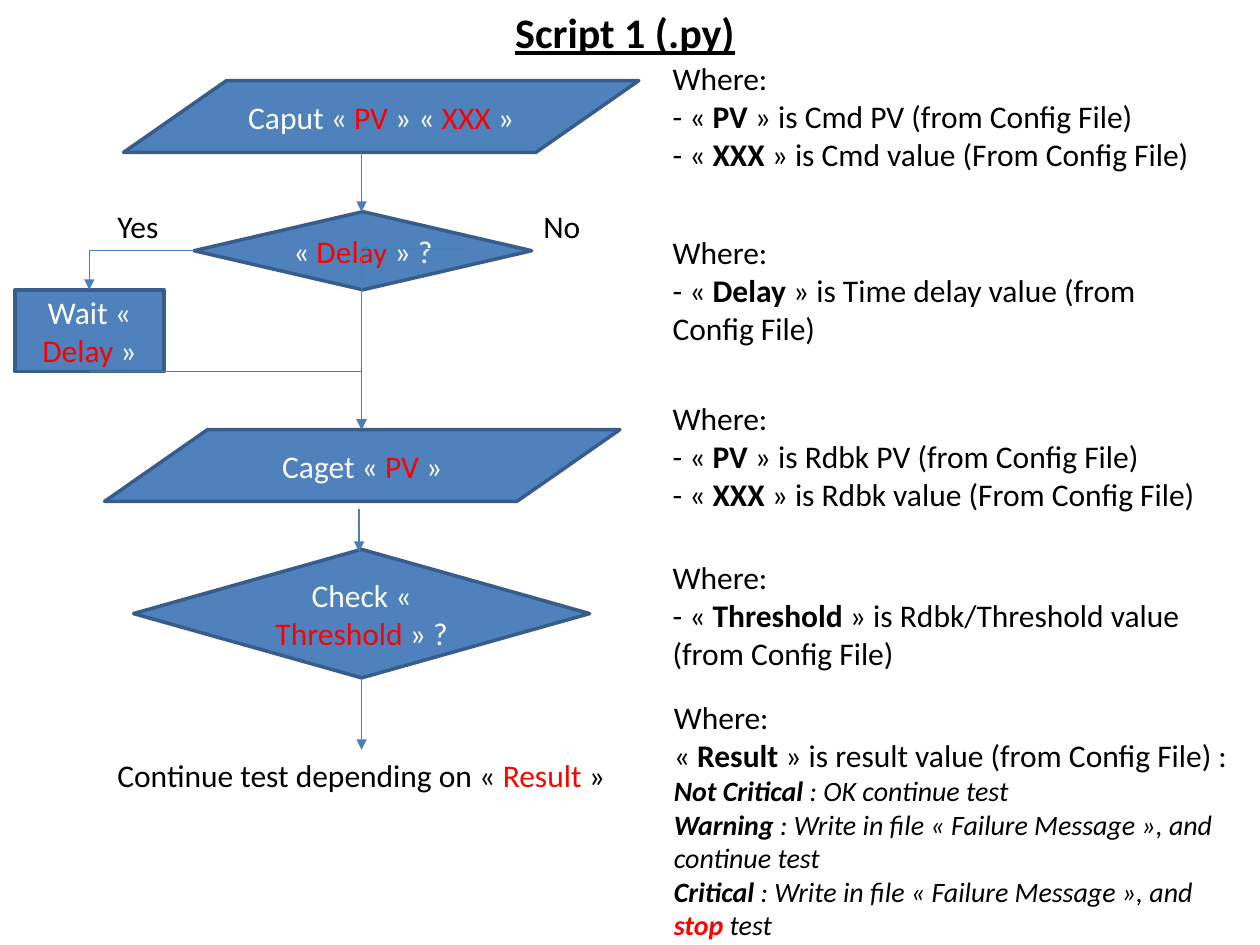
from lxml.etree import SubElement
from pptx import Presentation
from pptx.dml.color import RGBColor
from pptx.enum.shapes import MSO_CONNECTOR, MSO_SHAPE
from pptx.enum.text import MSO_ANCHOR, PP_ALIGN
from pptx.oxml.ns import qn
from pptx.util import Inches, Pt

COLORS = {"step": "4F81BD", "edge": "385D8A", "arrow": "4A7EBB",
          "black": "000000", "white": "FFFFFF", "red": "FF0000"}
STYLES = {
    "plain": {"size": Pt(18)},
    "bold": {"size": Pt(18), "bold": True},
    "detail": {"size": Pt(16), "italic": True},
    "level": {"size": Pt(16), "italic": True, "bold": True},
    "title": {"size": Pt(24), "bold": True, "underline": True},
}

deck = Presentation()
deck.slide_width, deck.slide_height = Inches(10), Inches(7.5)
column, row = deck.slide_width / 100, deck.slide_height / 75
slide = deck.slides.add_slide(deck.slide_layouts[5])


def grid(*lengths):
    return [round(length * (row if i % 2 else column)) for i, length in enumerate(lengths)]


def write(frame, paragraphs, align=PP_ALIGN.LEFT, anchor=MSO_ANCHOR.TOP):
    frame.word_wrap, frame.vertical_anchor = True, anchor
    for i, pieces in enumerate(paragraphs):
        paragraph = frame.add_paragraph() if i else frame.paragraphs[0]
        paragraph.alignment = align
        for text, style, color in pieces:
            run = paragraph.add_run()
            run.text = text
            run.font.name = "Calibri"
            run.font.color.rgb = RGBColor.from_string(COLORS[color])
            for attribute, value in STYLES[style].items():
                setattr(run.font, attribute, value)


heading = slide.shapes.title
heading.left, heading.top, heading.width, heading.height = grid(-0.4, 0, 100, 5)
write(heading.text_frame, [[("Script 1 (.py)", "title", "black")]], PP_ALIGN.CENTER)

steps = [
    (MSO_SHAPE.FLOWCHART_DATA, (9.8, 6.4, 40.9, 5.7), ["Caput « ", "PV", " » « ", "XXX", " »"]),
    (MSO_SHAPE.FLOWCHART_DECISION, (15.4, 16.8, 26.8, 6.2), ["«", " Delay ", "» ?"]),
    (MSO_SHAPE.FLOWCHART_PROCESS, (1.2, 23, 11.8, 6.5), ["Wait « ", "Delay", " »"]),
    (MSO_SHAPE.FLOWCHART_DATA, (8.3, 34.1, 40.9, 5.7), ["Caget « ", "PV", " »"]),
    (MSO_SHAPE.FLOWCHART_DECISION, (10.6, 43.6, 36.2, 10.2), ["Check «", " Threshold ", "» ?"]),
]
for outline, place, words in steps:
    step = slide.shapes.add_shape(outline, *grid(*place))
    step.shadow.inherit = False
    step.fill.solid()
    step.fill.fore_color.rgb = RGBColor.from_string(COLORS["step"])
    step.line.color.rgb = RGBColor.from_string(COLORS["edge"])
    step.line.width = Pt(2)
    pieces = [(word, "plain", "red" if i % 2 else "white") for i, word in enumerate(words)]
    write(step.text_frame, [pieces], PP_ALIGN.CENTER, MSO_ANCHOR.MIDDLE)

axis = 28.7
flows = [
    (MSO_CONNECTOR.STRAIGHT, (axis, 12.1, axis, 16.8), True),
    (MSO_CONNECTOR.STRAIGHT, (axis, 31.3, axis, 34.1), True),
    (MSO_CONNECTOR.STRAIGHT, (28.5, 40.4, 28.5, 43.8), True),
    (MSO_CONNECTOR.STRAIGHT, (axis, 53.8, axis, 59.5), True),
    (MSO_CONNECTOR.ELBOW, (15.4, 19.9, 7.1, 23), True),
    (MSO_CONNECTOR.ELBOW, (7.1, 29.5, axis, 31.3), False),
    (MSO_CONNECTOR.ELBOW, (37.1, 19.7, axis, 34.1), True),
]
for kind, ends, has_head in flows:
    flow = slide.shapes.add_connector(kind, *grid(*ends))
    flow.line.color.rgb = RGBColor.from_string(COLORS["arrow"])
    flow.line.width = Pt(0.75)
    properties = flow._element.spPr
    if kind == MSO_CONNECTOR.ELBOW:
        properties.find(qn("a:prstGeom")).set("prst", "bentConnector2")
    if has_head:
        SubElement(properties.find(qn("a:ln")), qn("a:tailEnd"), type="triangle")
    SubElement(properties, qn("a:effectLst"))

where = [("Where:", "plain", "black")]
notes = [
    (4.2, [("PV", "is Cmd PV (from Config File)"), ("XXX", "is Cmd value (From Config File)")]),
    (18, [("Delay", "is Time delay value (from Config File)")]),
    (31.2, [("PV", "is Rdbk PV (from Config File)"), ("XXX", "is Rdbk value (From Config File)")]),
    (43.8, [("Threshold", "is Rdbk/Threshold value (from Config File)")]),
]
for top, terms in notes:
    note = slide.shapes.add_textbox(*grid(52.4, top, 45.3, 10.1))
    write(note.text_frame, [where] + [
        [("- « ", "plain", "black"), (term, "bold", "black"), (f" » {meaning}", "plain", "black")]
        for term, meaning in terms])

results = slide.shapes.add_textbox(*grid(52.5, 54.9, 46.7, 20.1))
write(results.text_frame, [
    where,
    [("« ", "plain", "black"), ("Result", "bold", "black"),
     (" » is result value (from Config File) :", "plain", "black")],
    [("Not Critical ", "level", "black"), (": OK continue test", "detail", "black")],
    [("Warning", "level", "black"),
     (" : Write in file « Failure Message », and continue test", "detail", "black")],
    [("Critical", "level", "black"),
     (" : Write in file « Failure Message », and ", "detail", "black"),
     ("stop ", "level", "red"), ("test", "detail", "black")],
])

labels = [
    ((8.3, 15.9, 5.3, 4), [("Yes", "plain", "black")]),
    ((42.1, 15.9, 5, 4), [("No", "plain", "black")]),
    ((8.3, 59.5, 41.3, 4), [("Continue test depending on « ", "plain", "black"),
                            ("Result", "plain", "red"), (" » ", "plain", "black")]),
]
for place, pieces in labels:
    label = slide.shapes.add_textbox(*grid(*place))
    write(label.text_frame, [pieces], PP_ALIGN.CENTER)
    label.text_frame.word_wrap = len(pieces) > 1

deck.save("out.pptx")
